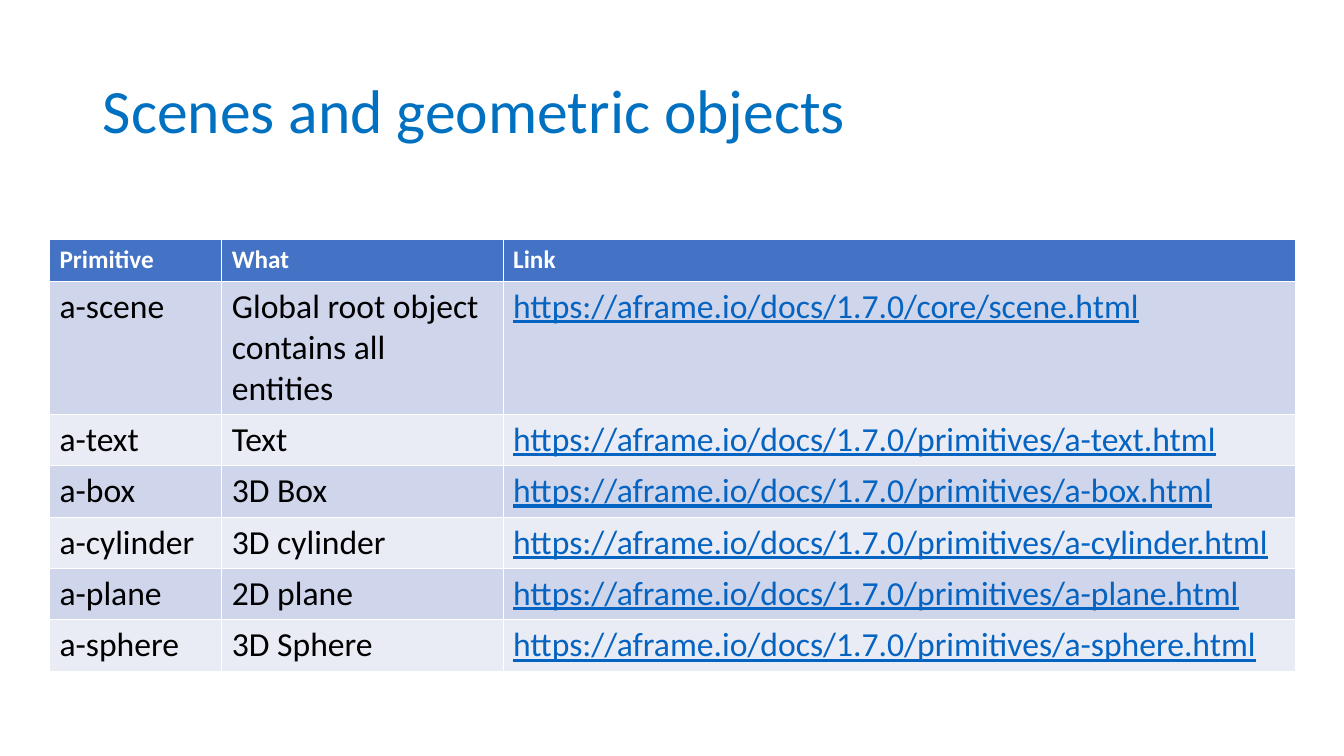
"""Build a slide with a table of scene primitives and their documentation links."""
import pptx
import pptx.dml.color
import pptx.enum.text
import pptx.util
from pptx.util import Inches

TITLE_BLUE = pptx.dml.color.RGBColor(0x00, 0x70, 0xC0)
HEADER_BLUE = pptx.dml.color.RGBColor(0x44, 0x72, 0xC4)
LINK_BLUE = pptx.dml.color.RGBColor(0x05, 0x63, 0xC1)
DARK_BAND = pptx.dml.color.RGBColor(0xCF, 0xD5, 0xEA)
LIGHT_BAND = pptx.dml.color.RGBColor(0xE9, 0xEB, 0xF5)
WHITE = pptx.dml.color.RGBColor(0xFF, 0xFF, 0xFF)
BLACK = pptx.dml.color.RGBColor(0x00, 0x00, 0x00)

FONT = "Calibri"
DOCS = "https://aframe.io/docs/1.7.0/"
COLUMN_WIDTHS = [1.71, 2.79, 7.86]
ROWS = [
    ("Primitive", "What", "Link"),
    ("a-scene", "Global root object contains all entities", DOCS + "core/scene.html"),
]
for primitive, meaning in [
    ("a-text", "Text"),
    ("a-box", "3D Box"),
    ("a-cylinder", "3D cylinder"),
    ("a-plane", "2D plane"),
    ("a-sphere", "3D Sphere"),
]:
    ROWS.append((primitive, meaning, f"{DOCS}primitives/{primitive}.html"))
ROW_HEIGHTS = [0.41, 1.31] + [0.51] * (len(ROWS) - 2)

presentation = pptx.Presentation()
presentation.slide_width = Inches(13.33)
presentation.slide_height = Inches(7.5)
slide = presentation.slides.add_slide(presentation.slide_layouts.get_by_name("Title Only"))

title = slide.shapes.title
title.left, title.top = Inches(0.92), Inches(0.4)
title.width, title.height = Inches(11.5), Inches(1.45)
title.text_frame.text = "Scenes and geometric objects"
title.text_frame.auto_size = pptx.enum.text.MSO_AUTO_SIZE.NONE
title.text_frame.vertical_anchor = pptx.enum.text.MSO_ANCHOR.MIDDLE
paragraph = title.text_frame.paragraphs[0]
paragraph.alignment = pptx.enum.text.PP_ALIGN.LEFT
paragraph.line_spacing = 0.9
paragraph.font.name = FONT
paragraph.font.size = pptx.util.Pt(44)
paragraph.font.color.rgb = TITLE_BLUE

table = slide.shapes.add_table(
    len(ROWS), len(COLUMN_WIDTHS), Inches(0.49), Inches(2.38),
    Inches(sum(COLUMN_WIDTHS)), Inches(sum(ROW_HEIGHTS)),
).table
for column, width in zip(table.columns, COLUMN_WIDTHS):
    column.width = Inches(width)

for row_index, texts in enumerate(ROWS):
    table.rows[row_index].height = Inches(ROW_HEIGHTS[row_index])
    is_header = row_index == 0
    band = DARK_BAND if row_index % 2 else LIGHT_BAND
    for column_index, text in enumerate(texts):
        is_link = column_index == 2 and not is_header
        cell = table.cell(row_index, column_index)
        cell.text = text
        cell.fill.solid()
        cell.fill.fore_color.rgb = HEADER_BLUE if is_header else band
        font = cell.text_frame.paragraphs[0].font
        font.name = FONT
        font.size = pptx.util.Pt(18 if is_header else 24)
        font.bold = is_header
        font.underline = is_link
        font.color.rgb = WHITE if is_header else LINK_BLUE if is_link else BLACK

presentation.save("out.pptx")
